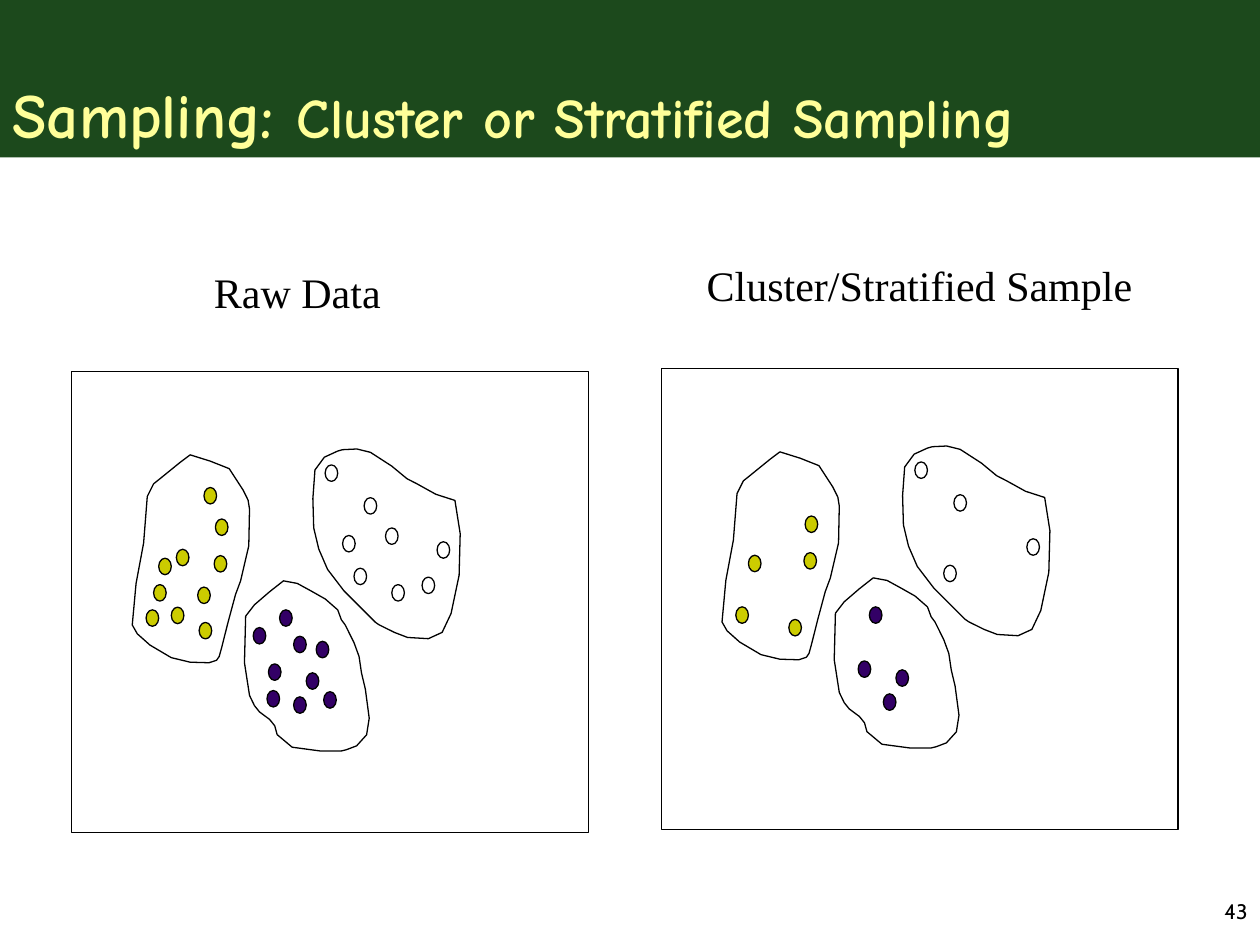
from lxml.etree import SubElement
from pptx import Presentation
from pptx.dml.color import RGBColor
from pptx.enum.shapes import MSO_SHAPE
from pptx.enum.text import MSO_ANCHOR, MSO_AUTO_SIZE, PP_ALIGN
from pptx.oxml.ns import qn
from pptx.util import Pt


def color(hex_string):
    return RGBColor.from_string(hex_string)


def style(shape, fill=None):
    """Give a shape a thin black outline, no shadow and an optional fill."""
    shape.shadow.inherit = False
    shape.line.color.rgb = color("000000")
    shape.line.width = Pt(0.75)
    if fill:
        shape.fill.solid()
        shape.fill.fore_color.rgb = color(fill)
    else:
        shape.fill.background()


# Outlines and dots are placed for the raw data panel.
# Each cluster: dot fill, outline, dots kept in the sample, other dots.
clusters = [
    ("FFFFFF",
     [(260, 286), (263, 305), (262.4, 328.8), (257.8, 350.6), (252.7, 361.4),
      (244.8, 365), (232.9, 364.3), (225.4, 361.4), (216.7, 357.1),
      (214.6, 355.7), (203.8, 344.9), (196.6, 337.7), (187.2, 325.4),
      (182.2, 313.8), (179.3, 301.7), (178.8, 285), (180, 268.6),
      (185.4, 261.3), (193, 257.8), (195.8, 257), (204, 256.6),
      (211.7, 258.5), (223.9, 266.4), (232.6, 273.6), (238.3, 276.5),
      (249.1, 282.5)],
     [(208.1, 284.4), (202.3, 324.7), (249.8, 309.6), (185.8, 265.7)],
     [(220.3, 301.7), (195.8, 306), (241.2, 329.8), (223.9, 334.1)]),
    ("330066",
     [(157, 414.7), (154.1, 411.1), (148.3, 406.8), (145.4, 403.2),
      (142.6, 397.4), (139.7, 378.7), (140.4, 352.1), (145.4, 345.6),
      (154, 338.2), (162, 331.9), (169.9, 333.4), (177.8, 337.7),
      (185.9, 342.3), (193, 348.5), (195.1, 354.2), (197.3, 357.1),
      (202.3, 367.2), (205.2, 375.1), (206.6, 384.5), (208.8, 393.8),
      (211, 410.4), (209.5, 419.9), (203.8, 426.2), (198, 428.4),
      (195.1, 429.1), (182.9, 429.1), (167, 427), (158.4, 419.8)],
     [(167.8, 398.2), (175, 384.5), (153.4, 379.4), (159.8, 348.5)],
     [(144.7, 358.6), (180.7, 366.5), (152.6, 394.6), (167.8, 363.6),
      (185, 395.3)]),
    ("CCCC00",
     [(134.6, 339.8), (130.3, 355.7), (126.7, 370.1), (125.3, 375.1),
      (123.8, 377.3), (119.5, 378.7), (108.7, 378.4), (97.9, 375.8),
      (85.7, 368.6), (78.5, 362.2), (75.6, 357.1), (77.8, 333.4),
      (82.1, 310.3), (84.2, 283.7), (87.8, 276.5), (91.4, 273.6),
      (99.4, 267.1), (103, 264.2), (108.7, 259.9), (120.2, 263.5),
      (131, 267.8), (139, 280.1), (141.8, 285.8), (142.6, 290.9),
      (142.2, 311.9), (137.5, 331.9)],
     [(83.5, 348.5), (90.7, 319), (113.8, 355.7), (122.4, 317.5),
      (123.1, 296.6)],
     [(97.9, 347), (87.8, 334.1), (113, 335.5), (100.8, 313.9),
      (116.6, 278.6)]),
]

presentation = Presentation()
presentation.slide_width, presentation.slide_height = Pt(720), Pt(540)
slide = presentation.slides.add_slide(presentation.slide_layouts[5])

# Title band
title = slide.shapes.title
title.left, title.top, title.width, title.height = Pt(0), Pt(0), Pt(720), Pt(90)
title.fill.solid()
title.fill.fore_color.rgb = color("003300")
band_color = title.fill._xPr.find(qn("a:solidFill"))[0]
SubElement(band_color, qn("a:alpha"), val="89000")
title.text_frame.auto_size = MSO_AUTO_SIZE.NONE
title.text_frame.vertical_anchor = MSO_ANCHOR.BOTTOM
paragraph = title.text_frame.paragraphs[0]
paragraph.alignment = PP_ALIGN.LEFT
paragraph.font.name = "Comic Neue"
paragraph.font.bold = True
paragraph.font.color.rgb = color("FFFF99")
for text, size in [("Sampling: ", 36), ("Cluster or Stratified Sampling", 32)]:
    run = paragraph.add_run()
    run.text = text
    run.font.size = Pt(size)

# Panels: horizontal and vertical shift, whether all dots show
for shift_x, shift_y, show_all in [(0, 0, True), (337, -1.7, False)]:
    panel = slide.shapes.add_group_shape().shapes
    frame = panel.add_shape(MSO_SHAPE.RECTANGLE, Pt(41 + shift_x),
                            Pt(212.4 + shift_y), Pt(295.2), Pt(263.5))
    style(frame)
    for fill, outline, sampled, others in clusters:
        points = [(Pt(x + shift_x), Pt(y + shift_y)) for x, y in outline]
        builder = panel.build_freeform(*points[0])
        builder.add_line_segments(points[1:], close=True)
        style(builder.convert_to_shape())
        for x, y in sampled + others if show_all else sampled:
            dot = panel.add_shape(MSO_SHAPE.FLOWCHART_CONNECTOR, Pt(x + shift_x),
                                  Pt(y + shift_y), Pt(7.2), Pt(9.4))
            style(dot, fill)

# Panel headings and slide number
labels = [
    ("Raw Data", 115.2, 149, 115.2, 36, "Times New Roman", 24, PP_ALIGN.LEFT),
    ("Cluster/Stratified Sample", 396.7, 144.7, 257.8, 36,
     "Times New Roman", 24, PP_ALIGN.LEFT),
    ("43", 570.2, 509.8, 149.8, 30.2, "Cabin", 12, PP_ALIGN.RIGHT),
]
for text, left, top, width, height, font_name, size, alignment in labels:
    label = slide.shapes.add_textbox(Pt(left), Pt(top), Pt(width), Pt(height))
    label.text_frame.word_wrap = alignment == PP_ALIGN.RIGHT
    paragraph = label.text_frame.paragraphs[0]
    paragraph.text = text
    paragraph.alignment = alignment
    paragraph.font.name = font_name
    paragraph.font.size = Pt(size)
    paragraph.font.color.rgb = color("000000")

presentation.save("out.pptx")
